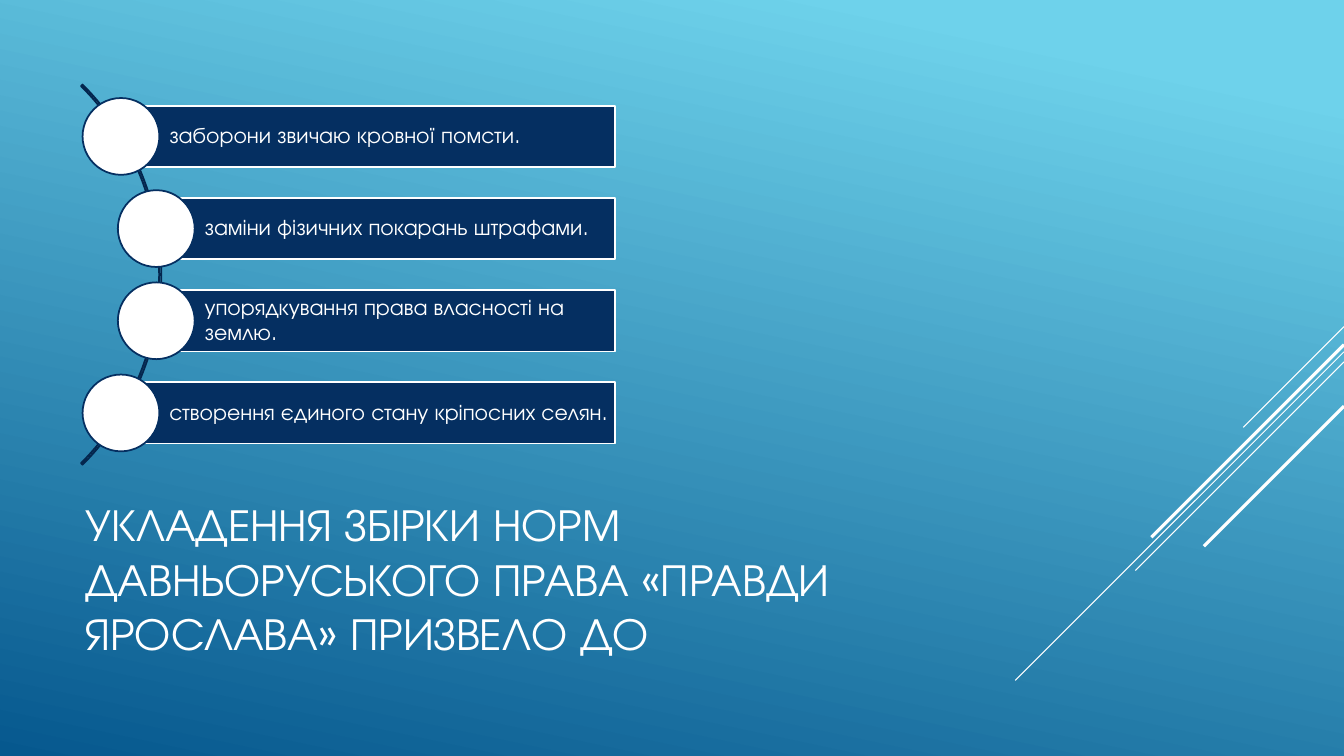
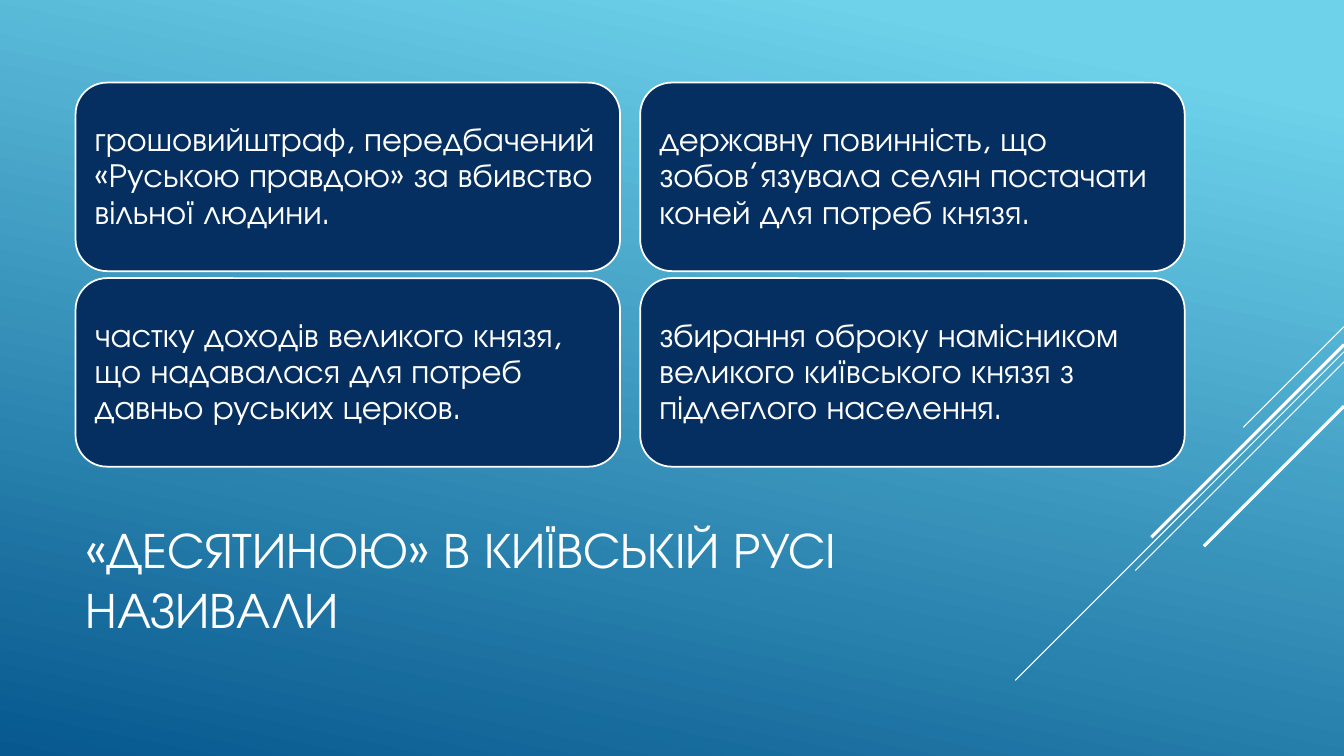
from collections import namedtuple

from lxml import etree
from pptx import Presentation
from pptx import util as u
from pptx.dml.color import RGBColor
from pptx.enum import shapes, text
from pptx.oxml import ns

Box = namedtuple("Box", "left top width height")

FONT = "TeX Gyre Adventor"
COLORS = {
    "sky": "6ED2EB",
    "deep": "06588E",
    "navy": "052F61",
    "arc": "04264E",
    "white": "FFFFFF",
}
SLIDE = Box(0, 0, 13.33, 7.5)
TITLE = Box(0.75, 4.91, 9.33, 1.65)
LIST_AREA = Box(0.75, 0.82, 5.35, 3.81)
CARD_AREA = Box(0.75, 0.82, 11, 3.81)
OUTLINE = 1.25

# Diagonal rays from the right edge: start height, run, line width
RAYS = [
    (3.24, 1, 0.75),
    (3.49, 3.26, 0.75),
    (3.59, 2.07, 0.75),
    (3.42, 1.91, 2.25),
    (4.03, 1.39, 2.25),
]

OUTCOMES = [
    "заборони звичаю кровної помсти.",
    "заміни фізичних покарань штрафами.",
    "упорядкування права власності на землю.",
    "створення єдиного стану кріпосних селян.",
]
# One list for each column
MEANINGS = [
    [
        "грошовийштраф, передбачений «Руською правдою» за вбивство вільної людини.",
        "частку доходів великого князя, що надавалася для потреб давньо руських церков.",
    ],
    [
        "державну повинність, що зобов’язувала селян постачати коней для потреб князя.",
        "збирання оброку намісником великого київського князя з підлеглого населення.",
    ],
]


def color(name):
    return RGBColor.from_string(COLORS[name])


def inches(box):
    return [u.Inches(length) for length in box]


def write(shape, words, size, insets=(0.1, 0.05, 0.1, 0.05), spacing=1.0):
    """Fill a shape with left-aligned, vertically centred white text."""
    frame = shape.text_frame
    frame.text = words
    frame.word_wrap = True
    frame.vertical_anchor = text.MSO_ANCHOR.MIDDLE
    (frame.margin_left, frame.margin_top,
     frame.margin_right, frame.margin_bottom) = inches(insets)
    paragraph = frame.paragraphs[0]
    paragraph.alignment = text.PP_ALIGN.LEFT
    paragraph.line_spacing = spacing
    for run in paragraph.runs:
        run.font.name = FONT
        run.font.size = u.Pt(size)
        run.font.color.rgb = color("white")


def add_shape(slide, kind, box, fill, line):
    shape = slide.shapes.add_shape(kind, *inches(box))
    shape.shadow.inherit = False
    if fill:
        shape.fill.solid()
        shape.fill.fore_color.rgb = color(fill)
    else:
        shape.fill.background()
    shape.line.color.rgb = color(line)
    shape.line.width = u.Pt(OUTLINE)
    return shape


def add_ray(slide, top, run, width):
    right = SLIDE.width
    ray = slide.shapes.add_connector(
        shapes.MSO_CONNECTOR.STRAIGHT,
        *inches((right, top, right - run, top + run)))
    ray.line.color.rgb = color("white")
    ray.line.width = u.Pt(width)
    etree.SubElement(ray._element.spPr, ns.qn("a:effectLst"))


def add_themed_slide(presentation, title, title_size):
    """Add a slide with the gradient, the rays and the title."""
    slide = presentation.slides.add_slide(presentation.slide_layouts[6])
    fill = slide.background.fill
    fill.gradient()
    fill.gradient_angle = 360 - 102
    for stop, name, position in zip(fill.gradient_stops, ("sky", "deep"), (0.1, 1)):
        stop.color.rgb = color(name)
        stop.position = position
    for ray in RAYS:
        add_ray(slide, *ray)
    write(slide.shapes.add_textbox(*inches(TITLE)), title, title_size)
    return slide


def add_curved_list(slide, area, items):
    """Place bars with round markers along an arc."""
    middle = area.top + area.height / 2
    pitch, bar_height, marker = (area.height * share for share in (0.24, 0.16, 0.2))

    diameter = area.height * 1.4
    arc_box = Box(area.left + 0.85 - diameter, middle - diameter / 2, diameter, diameter)
    arc = add_shape(slide, shapes.MSO_SHAPE.BLOCK_ARC, arc_box, None, "arc")
    for index, value in enumerate((189, 27, 0.004)):
        arc.adjustments[index] = value

    for row, words in enumerate(items):
        is_end = row in (0, len(items) - 1)
        indent = 0.45 if is_end else 0.8
        center = middle + (row - (len(items) - 1) / 2) * pitch
        left = area.left + indent
        bar = add_shape(
            slide, shapes.MSO_SHAPE.RECTANGLE,
            Box(left, center - bar_height / 2, area.width - indent, bar_height),
            "navy", "white")
        write(bar, words, 16, (0.48, 0.04, 0.04, 0.04), 0.9)
        add_shape(
            slide, shapes.MSO_SHAPE.OVAL,
            Box(left - marker / 2, center - marker / 2, marker, marker),
            "white", "navy")


def add_cards(slide, area, columns, gap_x=0.2, gap_y=0.07):
    rows = len(columns[0])
    width = (area.width - gap_x * (len(columns) - 1)) / len(columns)
    height = (area.height - gap_y * (rows - 1)) / rows
    for column, cards in enumerate(columns):
        for row, words in enumerate(cards):
            box = Box(area.left + column * (width + gap_x),
                      area.top + row * (height + gap_y), width, height)
            card = add_shape(slide, shapes.MSO_SHAPE.ROUNDED_RECTANGLE,
                             box, "navy", "white")
            write(card, words, 24, (0.1, 0.1, 0.1, 0.1), 0.9)


def main():
    presentation = Presentation()
    presentation.slide_width = u.Inches(SLIDE.width)
    presentation.slide_height = u.Inches(SLIDE.height)

    slide = add_themed_slide(
        presentation,
        "УКЛАДЕННЯ ЗБІРКИ НОРМ ДАВНЬОРУСЬКОГО ПРАВА «ПРАВДИ ЯРОСЛАВА» ПРИЗВЕЛО ДО",
        32.4)
    add_curved_list(slide, LIST_AREA, OUTCOMES)

    slide = add_themed_slide(
        presentation, "«ДЕСЯТИНОЮ» В КИЇВСЬКІЙ РУСІ НАЗИВАЛИ", 36)
    add_cards(slide, CARD_AREA, MEANINGS)

    presentation.save("out.pptx")


if __name__ == "__main__":
    main()
